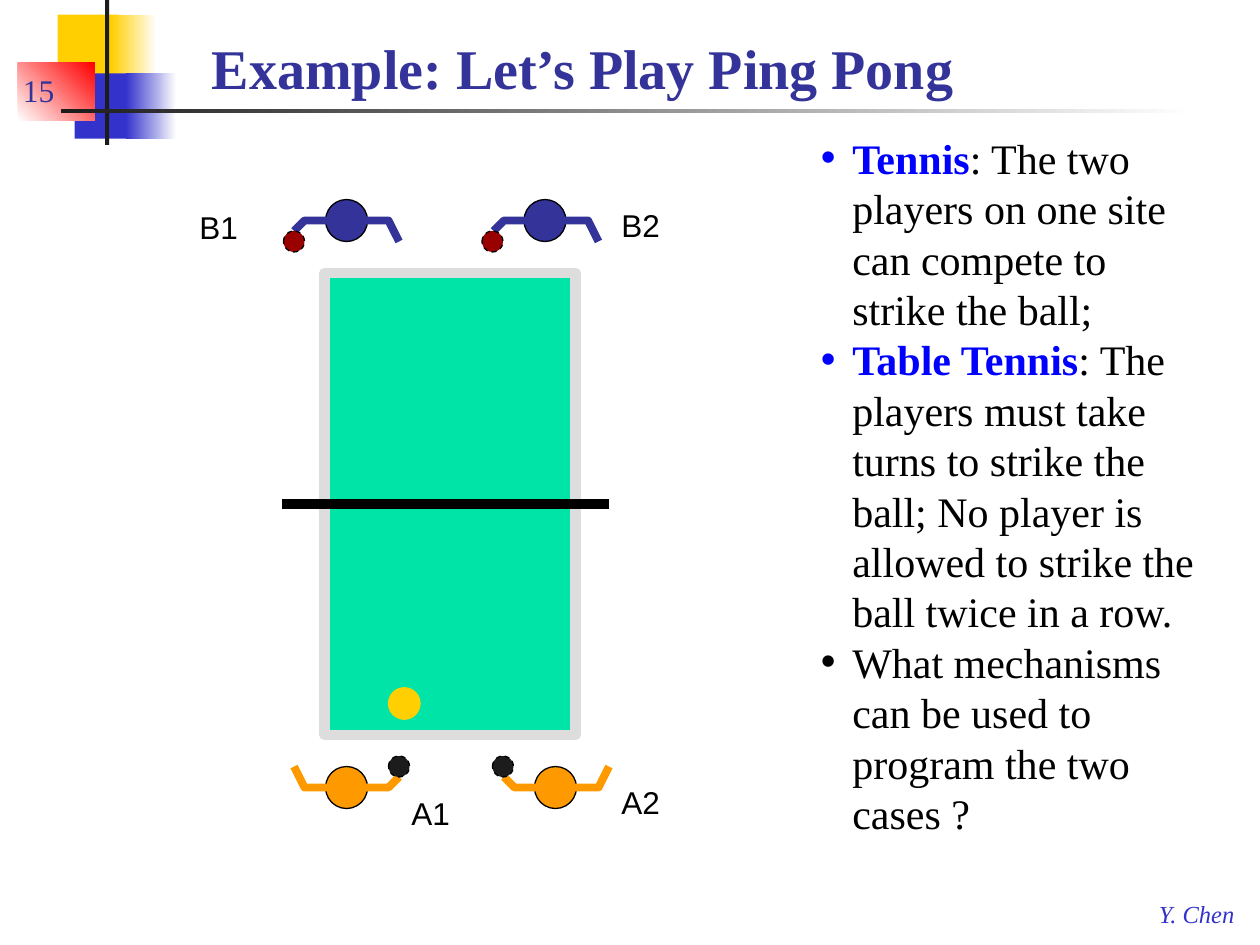
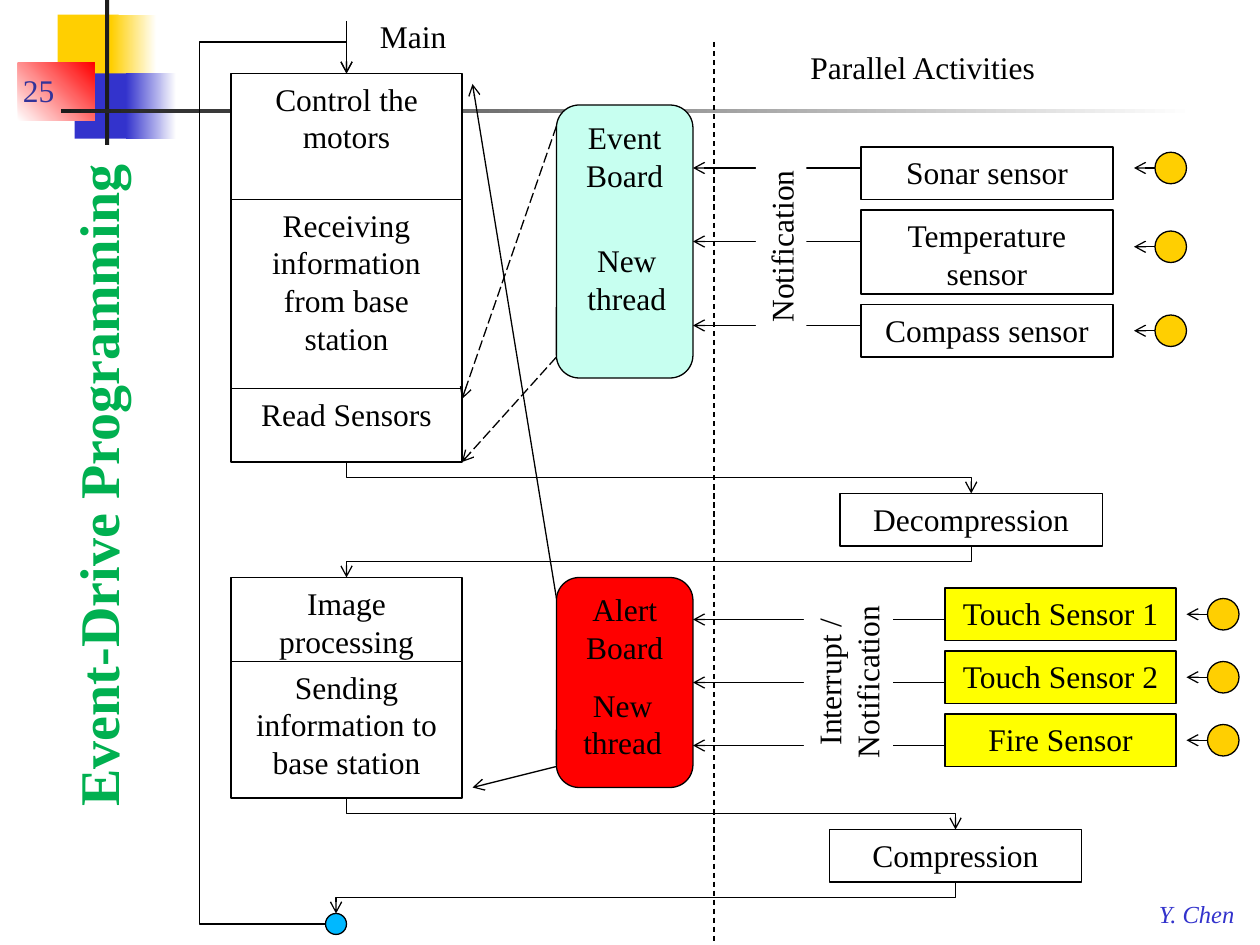
from lxml.etree import SubElement
from pptx import Presentation
from pptx.dml.color import RGBColor
from pptx.enum.dml import MSO_LINE as DASH
from pptx.enum.shapes import MSO_CONNECTOR as LINK, MSO_SHAPE as FORM
from pptx.enum.text import MSO_ANCHOR as ANCHOR, PP_ALIGN as ALIGN
from pptx.oxml.ns import qn
from pptx.util import Inches, Pt

# Grid: 120 columns by 90 rows of one twelfth of an inch
UNIT = Inches(1) // 12
COLS, ROWS = 120, 90
SERIF, SANS = "Times New Roman", "Arial"
BLACK, WHITE, DARK = "000000", "FFFFFF", "1C1C1C"
GOLD, BLUE, NAVY = "FFCF01", "3333CC", "333399"
ORANGE, YELLOW = "FF9900", "FFFF00"
hue = RGBColor.from_string


def box(slide, form, x, y, w, h, fill=None, line=None, text="", size=18,
        face=SERIF, color=BLACK, bold=None, slant=None, align=ALIGN.CENTER,
        anchor=ANCHOR.TOP, wrap=True, turn=0, weight=0.75, dash=None):
    """Add a shape, or a text box when form is None; lengths in grid units."""
    frame = [round(n * UNIT) for n in (x, y, w, h)]
    if form is None:
        shape = slide.shapes.add_textbox(*frame)
    else:
        shape = slide.shapes.add_shape(form, *frame)
        shape.shadow.inherit = False
        if line:
            shape.line.color.rgb = hue(line)
            shape.line.width = Pt(weight)
            if dash:
                shape.line.dash_style = dash
        else:
            shape.line.fill.background()
    if isinstance(fill, tuple):
        shape.fill.gradient()
        shape.fill.gradient_angle = fill[2]
        for stop, tone in zip(shape.fill.gradient_stops, fill):
            stop.color.rgb = hue(tone)
    elif fill:
        shape.fill.solid()
        shape.fill.fore_color.rgb = hue(fill)
    shape.rotation = turn
    if text:
        body = shape.text_frame
        body.word_wrap, body.vertical_anchor = wrap, anchor
        body.text = text
        for para in body.paragraphs:
            para.alignment = align
            font = para.font
            font.name, font.size, font.color.rgb = face, Pt(size), hue(color)
            font.bold, font.italic = bold, slant
    return shape


def wire(slide, x1, y1, x2, y2, kind=LINK.STRAIGHT, turn=0, weight=0.75,
         dash=None, arrow=True):
    """Add a connector, with an arrowhead at its end unless told otherwise."""
    ends = [round(n * UNIT) for n in (x1, y1, x2, y2)]
    link = slide.shapes.add_connector(kind, *ends)
    link.line.color.rgb = hue(BLACK)
    link.line.width = Pt(weight)
    if dash:
        link.line.dash_style = dash
    props = link._element.spPr
    if arrow:
        SubElement(props.find(qn("a:ln")), qn("a:tailEnd"), type="arrow")
    SubElement(props, qn("a:effectLst"))
    if turn:
        props.find(qn("a:xfrm")).set("rot", str(turn * 60000))
    return link


deck = Presentation()
deck.slide_width, deck.slide_height = COLS * UNIT, ROWS * UNIT

# Shared corner blocks, rules, page number and footer
BLOCKS = [
    (5.5, 1.4, 5.8, 6.2, GOLD),
    (10.6, 1.4, 4.3, 6.2, (GOLD, WHITE, 0)),
    (7.1, 7, 5.5, 6.2, BLUE),
    (12, 7, 4.8, 6.2, (BLUE, WHITE, 0)),
    (1.7, 6, 7.3, 5.5, (WHITE, "FF0000", 45)),
    (10, 0, 0.4, 13.8, DARK),
    (5.8, 10.4, 108, 0.4, (DARK, WHITE, 0)),
]
pages = []
for number in ("15", "25"):
    page = deck.slides.add_slide(deck.slide_layouts[6])
    for block in BLOCKS:
        box(page, FORM.RECTANGLE, *block)
    box(page, None, 109.2, 85, 9.8, 4, text="Y. Chen", size=14, color=BLUE,
        slant=True, align=ALIGN.LEFT, wrap=False)
    box(page, None, 1, 5, 14.3, 6, text=number, color=NAVY,
        align=ALIGN.LEFT, anchor=ANCHOR.BOTTOM)
    pages.append(page)
game, flow = pages

# Titles
TITLE = dict(size=32, bold=True, align=ALIGN.LEFT, anchor=ANCHOR.BOTTOM)
box(game, None, 19, 2, 100, 8.2, text="Example: Let’s Play Ping Pong",
    color=NAVY, **TITLE)
box(flow, None, -29.5, 35.5, 73, 12, text="Event-Drive Programming",
    color="00B050", turn=270, **TITLE)

# Game: table, net and player names
box(game, FORM.RECTANGLE, 30.9, 26, 23.9, 44, "00E4A8", "DDDDDD", weight=6)
wire(game, 26.9, 48, 58, 48, weight=6, arrow=False)
for name, x, y in [("A1", 38, 75), ("A2", 58, 74),
                   ("B1", 17.8, 19.2), ("B2", 58, 19)]:
    box(game, None, x, y, 6.1, 4.8, text=name, face=SANS,
        align=ALIGN.LEFT, wrap=False)

# Game: each player is a head, an arm line from the hand, and a bat
for x, y, side, down, skin, bat in [
        (28, 22, 1, -1, NAVY, "990000"), (46.9, 22, 1, -1, NAVY, "990000"),
        (38, 74, -1, 1, ORANGE, DARK), (47.9, 74, 1, 1, ORANGE, DARK)]:
    box(game, FORM.OVAL, x + 5 * side - 2, y + down - 2, 4, 4, skin, BLACK)
    pen = game.shapes.build_freeform(x, y, scale=UNIT)
    pen.add_line_segments([(x + side, y + down), (x + 9 * side, y + down),
                           (x + 10 * side, y - down)], close=False)
    arm = pen.convert_to_shape()
    arm.shadow.inherit = False
    arm.fill.background()
    arm.line.color.rgb, arm.line.width = hue(skin), Pt(4.5)
    box(game, FORM.OVAL, x - 1, y - down - 1, 2, 2, bat, BLACK, dash=DASH.DASH)
box(game, FORM.OVAL, 37, 65.5, 3, 3, GOLD, GOLD)

# Game: rules of play
POINTS = [
    ("Tennis", ": The two players on one site can compete to strike the ball;"),
    ("Table Tennis", ": The players must take turns to strike the ball; "
                     "No player is allowed to strike the ball twice in a row."),
    ("", "What mechanisms can be used to program the two cases ?"),
]
body = box(game, None, 77, 12, 38.2, 69).text_frame
body.word_wrap = True
for i, (term, rest) in enumerate(POINTS):
    para = body.add_paragraph() if i else body.paragraphs[0]
    props = para._p.get_or_add_pPr()
    props.set("marL", str(3 * UNIT))
    props.set("indent", str(-3 * UNIT))
    SubElement(props, qn("a:buFont"), typeface=SANS)
    SubElement(props, qn("a:buChar"), char="•")
    para.font.name, para.font.size = SERIF, Pt(24)
    for words, tone in ((term, "0000FF"), (rest, BLACK)):
        if words:
            run = para.add_run()
            run.text = words
            run.font.color.rgb = hue(tone)
            run.font.bold = words == term

# Flow: steps of the main thread and the two side jobs
for text, x, y, w, h in [
        ("Control the motors", 22, 7, 22, 12),
        ("Receiving information from base station", 22, 19, 22, 18),
        ("Read Sensors", 22, 37, 22, 7),
        ("Image processing", 22, 55, 22, 8),
        ("Sending information to base station", 22, 63, 22, 13),
        ("Decompression", 80, 47, 25, 5),
        ("Compression", 79, 79, 24, 5)]:
    box(flow, FORM.RECTANGLE, x, y, w, h, WHITE, BLACK, text)

# Flow: elbows that leave downwards, drawn as turned frames
for x1, y1, x2, y2 in [(33, 44, 92.5, 47), (92.5, 52, 33, 55),
                       (33, 76, 91, 79), (91, 84, 32, 87)]:
    mid, row = (x1 + x2) / 2, (y1 + y2) / 2
    wide, tall = abs(x2 - x1) / 2, (y2 - y1) / 2
    side = 1 if x2 > x1 else -1
    wire(flow, mid + side * tall, row - wide, mid - side * tall, row + wide,
         LINK.ELBOW, turn=270 if side > 0 else 90)

# Flow: loop back to the start
box(flow, FORM.OVAL, 31, 87, 2, 2, "00B8FF", BLACK)
loop = wire(flow, 33, 7, 31, 88, LINK.ELBOW, turn=180)
shape = loop._element.spPr.find(qn("a:prstGeom"))
shape.set("prst", "bentConnector4")
guides = shape.find(qn("a:avLst"))
for name, share in (("adj1", -600000), ("adj2", 103700)):
    SubElement(guides, qn("a:gd"), name=name, fmla=f"val {share}")
wire(flow, 33, 2, 33, 7)
wire(flow, 68, 4, 68, ROWS, dash=DASH.DASH, arrow=False)

# Flow: boards and the arrows between them and the main thread
for text, y, h, fill, x, low in [("Event Board", 10, 26, "C7FFF0", 54.2, 22.4),
                                 ("Alert Board", 55, 20, "FF0000", 53.8, 64.7)]:
    box(flow, FORM.ROUNDED_RECTANGLE, 53, y, 13, h, fill, BLACK, text)
    box(flow, None, x, low, 11, 8.5, text="New\nthread", wrap=False)
for y1, x2, y2, dash in [(12, 44, 38, DASH.LONG_DASH),
                         (34, 44, 44, DASH.LONG_DASH),
                         (73, 45, 75, None), (57, 45, 8, None)]:
    wire(flow, 53, y1, x2, y2, dash=dash)

# Flow: sensors, each with its message to a board and its source
for text, x, y, w, h, fill, send, dot, top in [
        ("Sonar sensor", 82, 14, 24, 5, WHITE, 16, 110, 14.5),
        ("Temperature sensor", 82, 20, 24, 8, WHITE, 23, 110, 22),
        ("Compass sensor", 82, 29, 24, 5, WHITE, 31, 110, 30),
        ("Touch Sensor 1", 90, 56, 22, 5, YELLOW, 59, 115, 57),
        ("Touch Sensor 2", 90, 62, 22, 5, YELLOW, 65, 115, 63),
        ("Fire Sensor", 90, 68, 22, 5, YELLOW, 71, 115, 69)]:
    wire(flow, x, send, 66, send)
    box(flow, FORM.RECTANGLE, x, y, w, h, fill, BLACK, text)
    box(flow, FORM.OVAL, dot, top, 3, 3, GOLD, BLACK)
    wire(flow, dot, top + 1.5, dot - 2, top + 1.5)

# Flow: labels
box(flow, FORM.RECTANGLE, 65.9, 21, 17, 4.8, WHITE, text="Notification",
    align=ALIGN.LEFT, wrap=False, turn=270)
box(flow, FORM.RECTANGLE, 71.8, 60.7, 18, 8.5, WHITE,
    text="Interrupt / Notification", turn=270)
for text, x, y, w in [("Parallel Activities", 76, 4, 24), ("Main", 35, 1, 8.8)]:
    box(flow, None, x, y, w, 4.8, text=text, align=ALIGN.LEFT, wrap=False)

deck.save("out.pptx")
